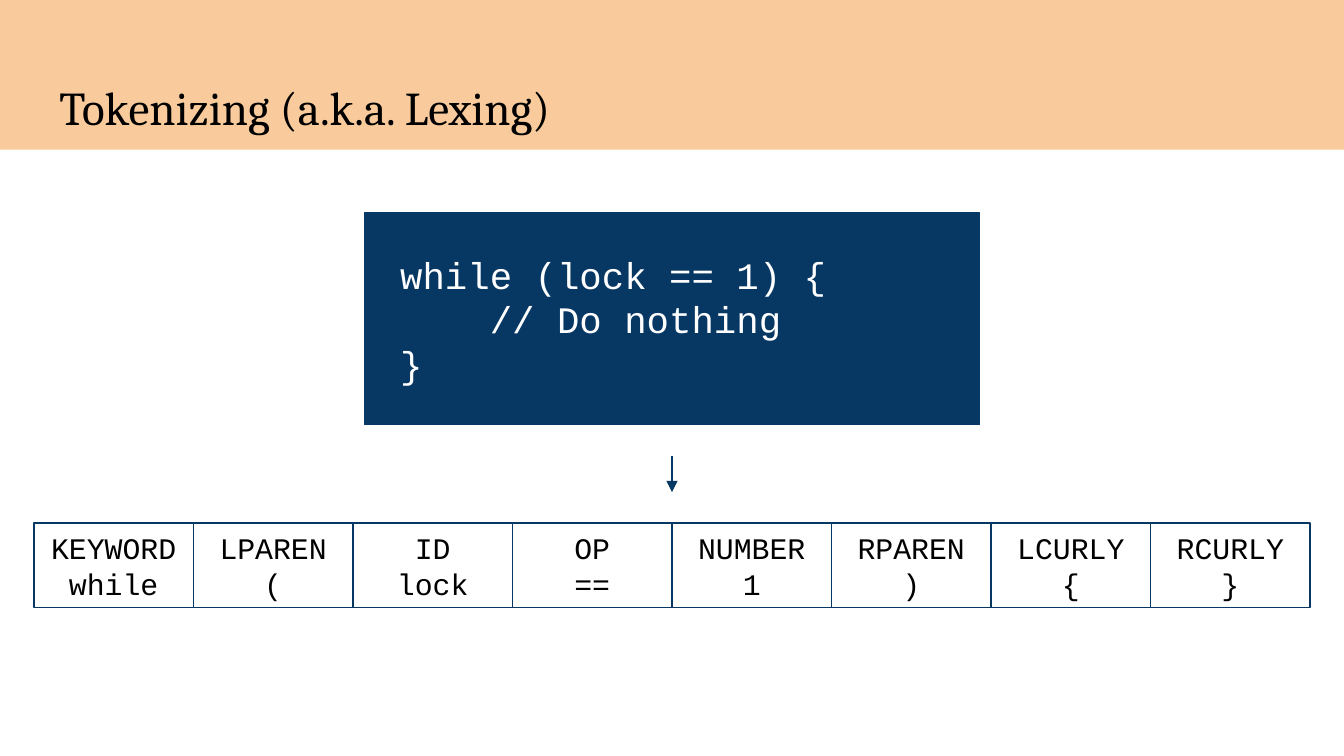
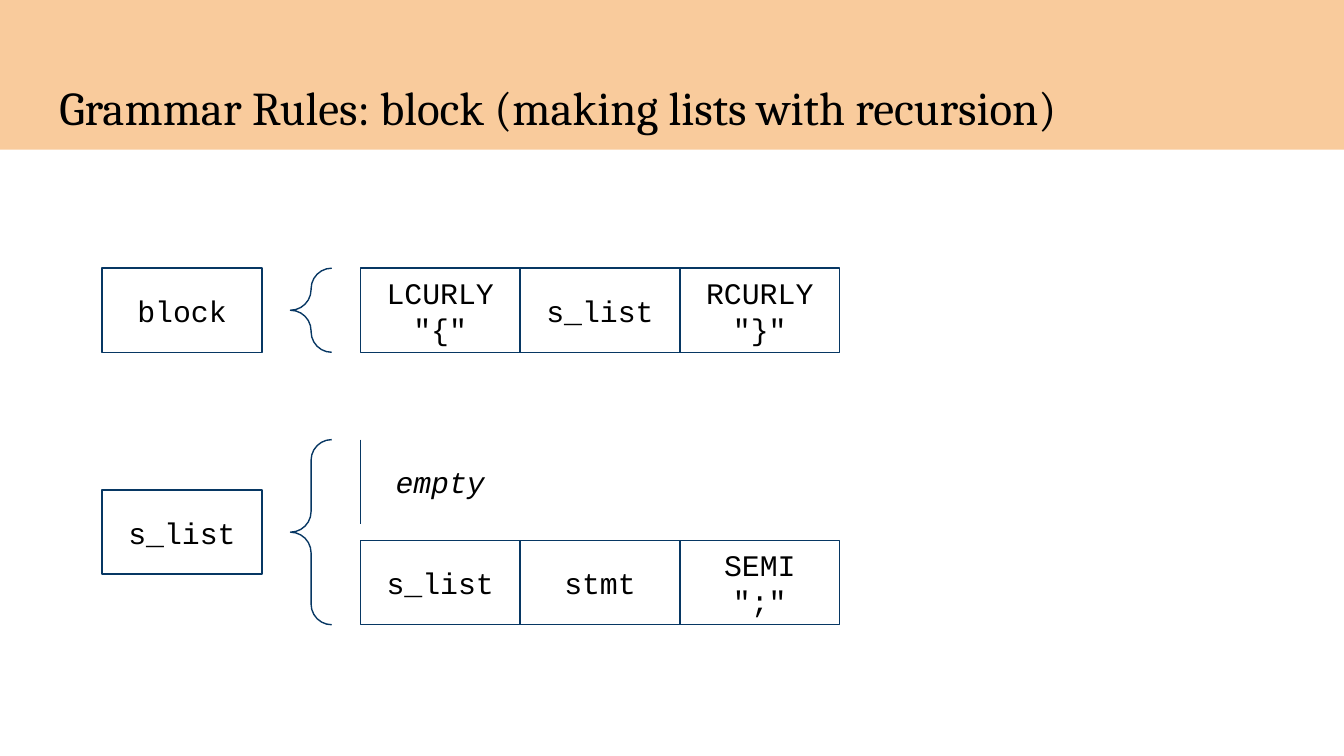
from collections import namedtuple

from lxml import etree
from pptx import Presentation
from pptx import util as u
from pptx.dml.color import RGBColor
from pptx.enum import shapes, text
from pptx.oxml import ns

PEACH = RGBColor(0xF9, 0xCB, 0x9C)
NAVY = RGBColor(0x07, 0x37, 0x63)
BLACK = RGBColor(0x00, 0x00, 0x00)
WHITE = RGBColor(0xFF, 0xFF, 0xFF)

TITLE_FONT = "Cambria"
CODE_FONT = "Courier New"
INSET = u.Cm(0.25)
CODE_CHAR = u.Pt(12)
CELL_WIDTH = u.Cm(3.02)
CELL_HEIGHT = u.Cm(1.59)
ALTERNATIVE_GAP = u.Cm(0.32)
BRACE_OFFSET = u.Cm(3.56)
BRACE_WIDTH = u.Cm(0.78)
CELLS_OFFSET = u.Cm(4.88)
EMPTY = "empty"

Box = namedtuple("Box", "left top width height")


def box_cm(*lengths):
    """Return a box from four lengths in centimetres."""
    return Box(*(u.Cm(length) for length in lengths))


def set_insets(frame):
    """Give a text frame the shared insets and wrapping."""
    frame.word_wrap = True
    frame.margin_left = frame.margin_right = INSET
    frame.margin_top = frame.margin_bottom = INSET


def write_line(frame, index, words, font_name, size, color, align, italic=False):
    """Write one run as the paragraph at the index and return the paragraph."""
    paragraph = frame.paragraphs[0] if index == 0 else frame.add_paragraph()
    paragraph.alignment = align
    run = paragraph.add_run()
    run.text = words
    run.font.name = font_name
    run.font.size = u.Pt(size)
    run.font.color.rgb = color
    run.font.italic = italic
    return paragraph


def add_outline(container, kind, box, fill=None, line=NAVY):
    """Add a flat preset shape with the given fill and line."""
    outline = container.add_shape(kind, *box)
    outline.shadow.inherit = False
    if fill is None:
        outline.fill.background()
    else:
        outline.fill.solid()
        outline.fill.fore_color.rgb = fill
    if line is None:
        outline.line.fill.background()
    else:
        outline.line.color.rgb = line
        outline.line.width = u.Pt(0.75)
    return outline


def add_stroke(container, start, end, weight, arrow=False):
    """Add a straight navy line, with an arrowhead at its end if asked."""
    stroke = container.add_connector(shapes.MSO_CONNECTOR.STRAIGHT, *start, *end)
    stroke.line.color.rgb = NAVY
    stroke.line.width = u.Pt(weight)
    if arrow:
        etree.SubElement(stroke.line._get_or_add_ln(), ns.qn("a:tailEnd"), type="triangle")
    etree.SubElement(stroke._element.spPr, ns.qn("a:effectLst"))


def add_band(slide, layout, width):
    """Put the title band at the back of the shared layout."""
    box = Box(0, 0, width, u.Cm(2.83))
    band = add_outline(slide.shapes, shapes.MSO_SHAPE.RECTANGLE, box, PEACH, None)
    band._element.nvSpPr.cNvPr.set("id", "20")
    layout.shapes._spTree.insert(2, band._element)


def add_title(slide, words):
    """Place and format the slide title."""
    title = slide.shapes.title
    title.left, title.top, title.width, title.height = box_cm(0.87, 1.24, 23.66, 1.59)
    frame = title.text_frame
    set_insets(frame)
    frame.auto_size = text.MSO_AUTO_SIZE.NONE
    frame.vertical_anchor = text.MSO_ANCHOR.TOP
    write_line(frame, 0, words, TITLE_FONT, 25.2, BLACK, text.PP_ALIGN.LEFT)


def add_code(slide, box, code):
    """Add the navy code panel, indenting each line by its depth in characters."""
    panel = add_outline(slide.shapes, shapes.MSO_SHAPE.RECTANGLE, box, NAVY)
    frame = panel.text_frame
    set_insets(frame)
    frame.vertical_anchor = text.MSO_ANCHOR.MIDDLE
    for index, (depth, words) in enumerate(code):
        paragraph = write_line(frame, index, words, CODE_FONT, 20, WHITE, text.PP_ALIGN.LEFT)
        properties = paragraph._p.get_or_add_pPr()
        properties.set("marL", str((depth + 1) * CODE_CHAR))
        properties.set("indent", "0")


def add_cell(container, box, lines):
    """Add a token cell, or plain italic text for the empty alternative."""
    is_empty = lines == (EMPTY,)
    if is_empty:
        cell = container.add_textbox(*box)
    else:
        cell = add_outline(container, shapes.MSO_SHAPE.RECTANGLE, box)
    frame = cell.text_frame
    set_insets(frame)
    frame.vertical_anchor = text.MSO_ANCHOR.MIDDLE
    for index, words in enumerate(lines):
        write_line(frame, index, words, CODE_FONT, 16, BLACK, text.PP_ALIGN.CENTER, is_empty)


def add_cells(container, box, cells):
    """Divide the box evenly into adjoining cells."""
    width = box.width / len(cells)
    for index, lines in enumerate(cells):
        left = round(box.left + index * width)
        add_cell(container, Box(left, box.top, round(width), box.height), lines)


def add_rule(slide, left, top, name, alternatives):
    """Add a grammar rule: its name, a brace and its stacked alternatives."""
    step = CELL_HEIGHT + ALTERNATIVE_GAP
    height = len(alternatives) * step - ALTERNATIVE_GAP
    name_top = top + (height - CELL_HEIGHT) // 2
    add_cell(slide.shapes, Box(left, name_top, CELL_WIDTH, CELL_HEIGHT), (name,))

    brace_box = Box(left + BRACE_OFFSET, top, BRACE_WIDTH, height)
    brace = add_outline(slide.shapes, shapes.MSO_SHAPE.LEFT_BRACE, brace_box)
    brace.adjustments[0] = brace.adjustments[1] = 0.5

    group = slide.shapes.add_group_shape()
    cells_left = left + CELLS_OFFSET
    for index, cells in enumerate(alternatives):
        row_top = top + index * step
        row = Box(cells_left, row_top, len(cells) * CELL_WIDTH, CELL_HEIGHT)
        add_cells(group.shapes, row, cells)
        if cells == [(EMPTY,)]:
            end = (cells_left, row_top + CELL_HEIGHT)
            add_stroke(slide.shapes, (cells_left, row_top), end, 0.75)


def build_tokenizing(slide):
    """Build the slide that turns code into tokens."""
    add_title(slide, "Tokenizing (a.k.a. Lexing)")
    code = [(0, "while (lock == 1) {"), (4, "// Do nothing"), (0, "}")]
    add_code(slide, box_cm(6.89, 4.03, 11.62, 4), code)
    tokens = [
        ("KEYWORD", "while"),
        ("LPAREN", "("),
        ("ID", "lock"),
        ("OP", "=="),
        ("NUMBER", "1"),
        ("RPAREN", ")"),
        ("LCURLY", "{"),
        ("RCURLY", "}"),
    ]
    add_cells(slide.shapes, box_cm(0.64, 9.89, 24.12, 1.59), tokens)
    middle = u.Cm(12.7)
    add_stroke(slide.shapes, (middle, u.Cm(8.61)), (middle, u.Cm(9.3)), 1.5, arrow=True)


def build_grammar(slide):
    """Build the slide with the block and statement list rules."""
    add_title(slide, "Grammar Rules: block (making lists with recursion)")
    left = u.Cm(1.93)
    block = [[("LCURLY", '"{"'), ("s_list",), ("RCURLY", '"}"')]]
    s_list = [[(EMPTY,)], [("s_list",), ("stmt",), ("SEMI", '";"')]]
    add_rule(slide, left, u.Cm(5.07), "block", block)
    add_rule(slide, left, u.Cm(8.31), "s_list", s_list)


def main():
    """Build and save the presentation."""
    deck = Presentation()
    deck.slide_width, deck.slide_height = u.Cm(25.4), u.Cm(14.29)
    layout = deck.slide_layouts.get_by_name("Title Only")
    tokenizing = deck.slides.add_slide(layout)
    add_band(tokenizing, layout, deck.slide_width)
    build_tokenizing(tokenizing)
    build_grammar(deck.slides.add_slide(layout))
    deck.save("out.pptx")


if __name__ == "__main__":
    main()
